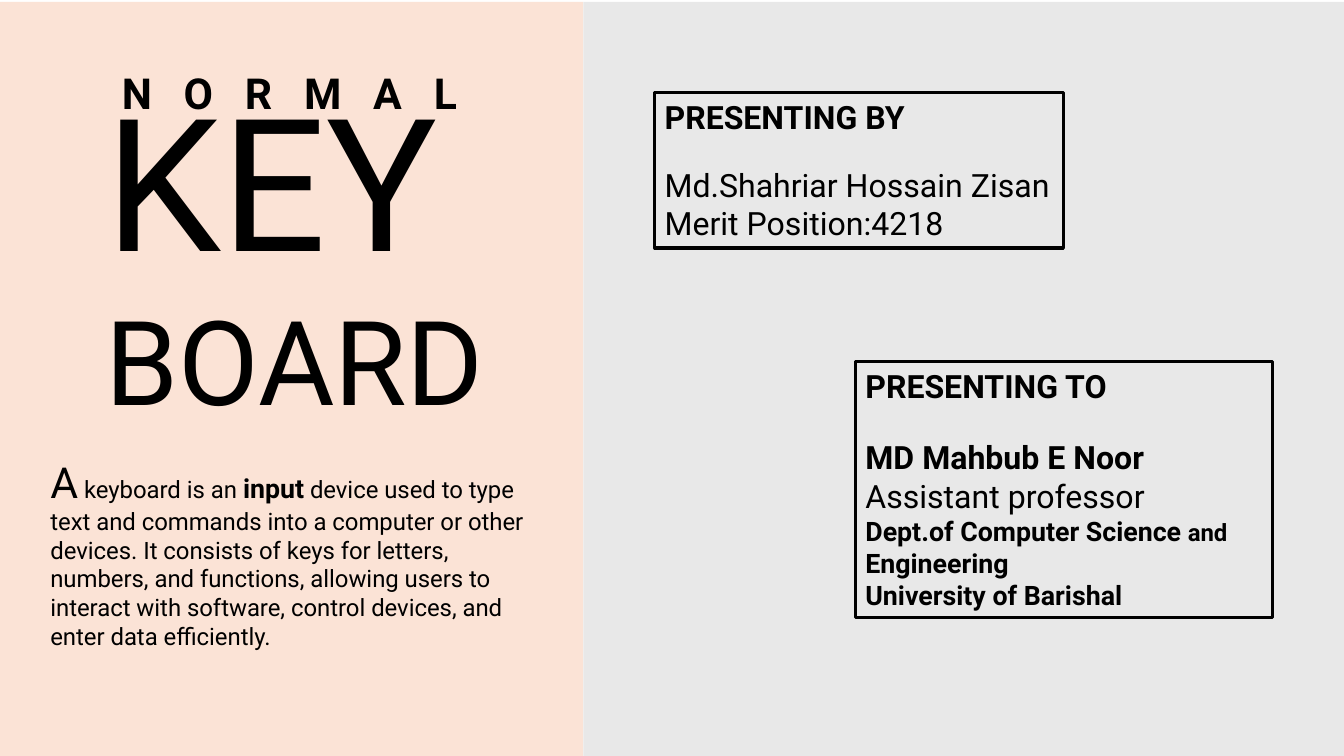
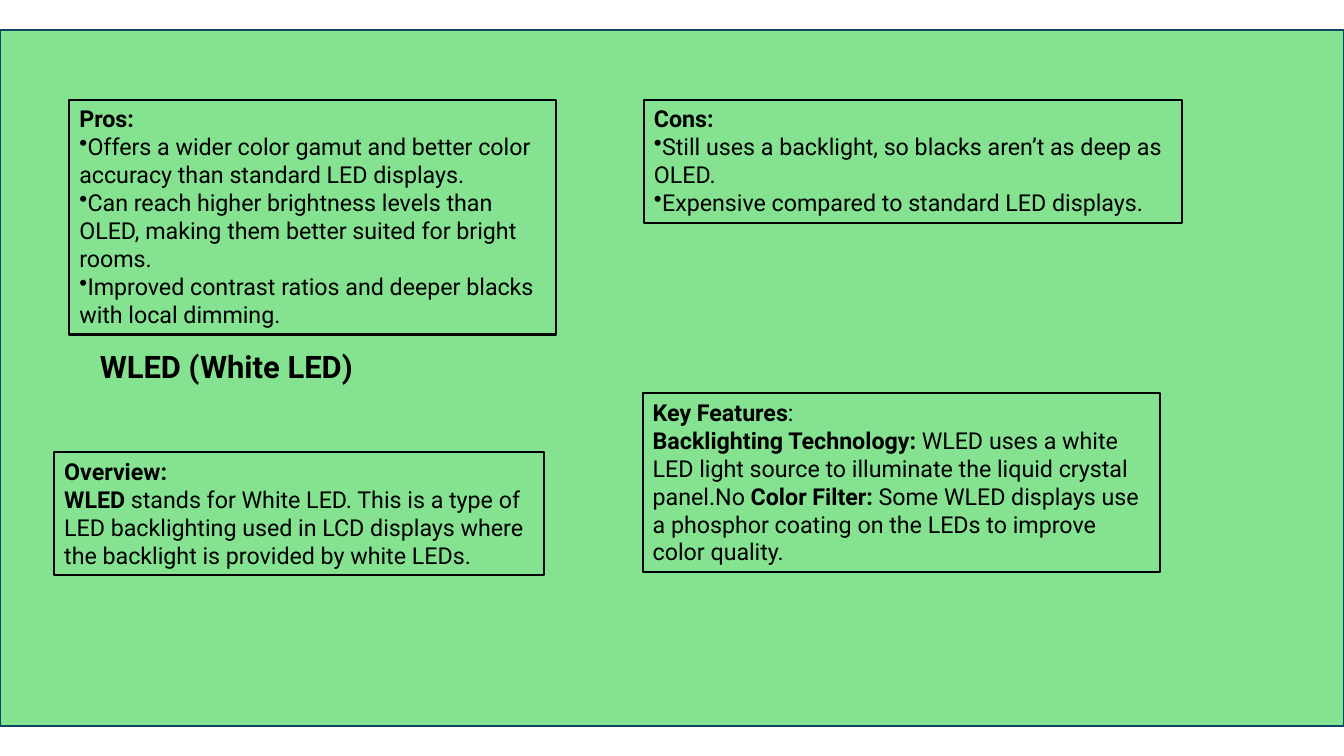
from lxml import etree
from pptx import Presentation
from pptx.dml.color import RGBColor
from pptx.enum.shapes import MSO_SHAPE
from pptx.enum.text import MSO_ANCHOR, MSO_AUTO_SIZE, PP_ALIGN
from pptx.oxml.ns import qn
from pptx.util import Cm, Pt

RECT = MSO_SHAPE.RECTANGLE
TOP, LEFT = MSO_ANCHOR.TOP, PP_ALIGN.LEFT
FIT = MSO_AUTO_SIZE.SHAPE_TO_FIT_TEXT

# Shared style
FONT = "Roboto"
BLACK, PEACH, GREY = "000000", "FBE3D6", "E8E8E8"
GREEN, NAVY = "84E291", "104760"
WIDTH, HEIGHT = 33.87, 19.05
TITLE_ONLY = 5


def color(value):
    return RGBColor.from_string(value)


def outline(sp, value, weight):
    sp.line.color.rgb = color(value)
    sp.line.width = Pt(weight)


def panel(s, box, fill, line=None):
    """Plain filled rectangle behind the text."""
    sp = s.shapes.add_shape(RECT, *map(Cm, box))
    sp.shadow.inherit = False
    sp.fill.solid()
    sp.fill.fore_color.rgb = color(fill)
    if line:
        outline(sp, line, 1.5)
    else:
        sp.line.fill.background()


def para(*runs, gap=0, bullet=False):
    """A paragraph of (text, size, bold) runs with a gap in points above it."""
    return runs, gap, bullet


def write(sp, paras):
    tf = sp.text_frame
    tf.word_wrap, tf.auto_size, tf.vertical_anchor = True, FIT, TOP
    for i, (runs, gap, bullet) in enumerate(paras):
        p = tf.paragraphs[0] if i == 0 else tf.add_paragraph()
        p.alignment = LEFT
        if gap:
            p.space_before = Pt(gap)
        if bullet:
            pPr = p._p.get_or_add_pPr()
            pPr.set("marL", "0")
            pPr.set("indent", "0")
            etree.SubElement(pPr, qn("a:buChar")).set("char", "•")
        for text, size, bold in runs:
            r = p.add_run()
            r.text = text
            r.font.name, r.font.size, r.font.bold = FONT, Pt(size), bold
            r.font.color.rgb = color(BLACK)


def text_box(s, box, paras, border=0):
    sp = s.shapes.add_textbox(*map(Cm, box))
    write(sp, paras)
    if border:
        outline(sp, BLACK, border)
    return sp


def title(s, box, paras):
    sp = s.shapes.title
    sp.left, sp.top, sp.width, sp.height = map(Cm, box)
    write(sp, paras)
    s.shapes._spTree.append(sp._element)  # bring in front of the panels


def cover_slide(prs):
    s = prs.slides.add_slide(prs.slide_layouts[TITLE_ONLY])
    split, top = 14.7, 0.05
    panel(s, (0, top, split, HEIGHT - top), PEACH)
    panel(s, (split, top, WIDTH - split, HEIGHT - top), GREY)

    # Title with the widely spaced word above it
    title(s, (2.41, 1.55, 10.5, 9.47),
          [para(("KEY", 132, False)), para(("BOARD", 83.8, False))])
    sp = text_box(s, (2.82, 1.55, 9.47, 1.55), [para(("N O R M A L", 30.5, True))])
    r = sp.text_frame.paragraphs[0].runs[0]
    r._r.get_or_add_rPr().set("spc", "760")

    # Definition
    text_box(s, (1.02, 11.35, 12.5, 5.23), [para(
        ("A", 30.5, False), (" keyboard is an ", 17.1, False), ("input", 19.1, True),
        (" device used to type text and commands into a computer or other devices. "
         "It consists of keys for letters, numbers, and functions, allowing users to "
         "interact with software, control devices, and enter data efficiently.",
         17.1, False))])

    # Presenter and audience
    large, small = 22.9, 19.1
    text_box(s, (16.5, 2.34, 10.3, 3.91), [
        para(("PRESENTING BY", large, True)),
        para(("Md.Shahriar Hossain Zisan", large, False), gap=20.5),
        para(("Merit Position:4218", large, False))], border=2.25)
    text_box(s, (21.56, 9.12, 10.5, 6.45), [
        para(("PRESENTING TO", large, True)),
        para(("MD Mahbub E Noor", large, True), gap=23),
        para(("Assistant professor", large, False)),
        para(("Dept.of Computer Science ", small, True), ("and ", 17.1, True),
             ("Engineering", small, True)),
        para(("University of Barishal", small, True))], border=2.25)


def note(s, box, heading, *paras):
    """Bordered note: a bold heading over paragraphs of (text, bold) runs."""
    def sized(runs):
        return [(text, 16.6, bold) for text, bold in runs]
    text_box(s, box, [para(*sized(heading))] +
             [para(*sized(runs), bullet=bullet) for runs, bullet in paras], border=1.5)


def bullets(*texts):
    return [([(text, False)], True) for text in texts]


def wled_slide(prs):
    s = prs.slides.add_slide(prs.slide_layouts[TITLE_ONLY])
    margin = 0.76
    panel(s, (0, margin, WIDTH, HEIGHT - 2 * margin), GREEN, NAVY)
    title(s, (2.26, 8.64, 7.39, 1.19), [para(("WLED (White LED)", 22.1, True))])

    # Pros and cons
    note(s, (1.75, 2.51, 12.27, 5.92), [("Pros:", True)], *bullets(
        "Offers a wider color gamut and better color accuracy than standard LED displays.",
        "Can reach higher brightness levels than OLED, making them better suited for "
        "bright rooms.",
        "Improved contrast ratios and deeper blacks with local dimming."))
    note(s, (16.23, 2.51, 13.56, 3.1), [("Cons:", True)], *bullets(
        "Still uses a backlight, so blacks aren’t as deep as OLED.",
        "Expensive compared to standard LED displays."))

    # Overview and key features
    note(s, (1.37, 11.4, 12.34, 3.1), [("Overview:", True)], ([
        ("WLED", True),
        (" stands for White LED. This is a type of LED backlighting used in LCD "
         "displays where the backlight is provided by white LEDs.", False)], False))
    note(s, (16.2, 9.91, 13.03, 4.5), [("Key Features", True), (":", False)], ([
        ("Backlighting Technology: ", True),
        ("WLED uses a white LED light source to illuminate the liquid crystal "
         "panel.No ", False),
        ("Color Filter: ", True),
        ("Some WLED displays use a phosphor coating on the LEDs to improve color "
         "quality.", False)], False))


def main():
    prs = Presentation()
    prs.slide_width, prs.slide_height = Cm(WIDTH), Cm(HEIGHT)
    cover_slide(prs)
    wled_slide(prs)
    prs.save("out.pptx")


if __name__ == "__main__":
    main()
